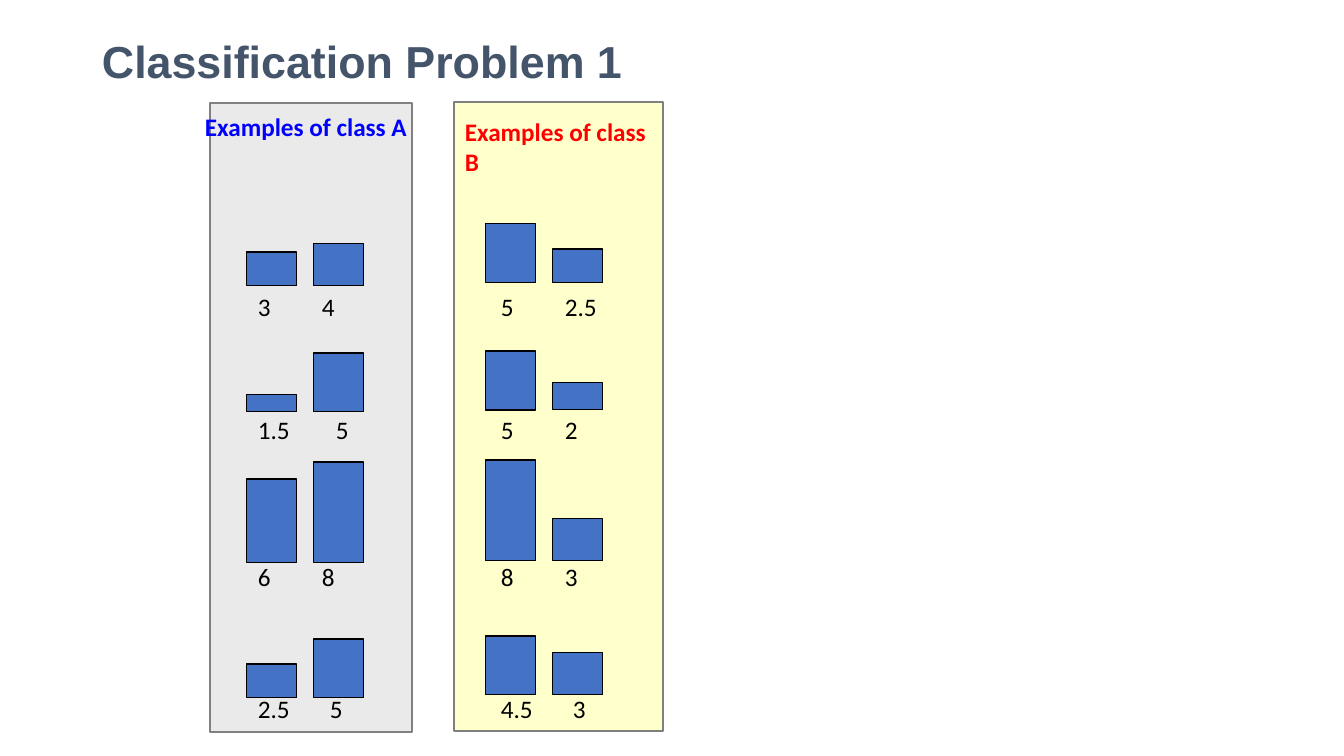
from lxml import etree
from pptx import Presentation
from pptx import util as u
from pptx.dml.color import RGBColor
from pptx.enum import shapes, text
from pptx.oxml import ns

PX = 914400 / 100.8  # EMU in one px
BAR_WIDTH, BAR_STEP = 50, 67
LABEL_TOPS = (286, 409, 556, 688)

# Each example: two values, two bar heights, distance between the two values
CLASS_A = [
    (("3", "4"), (34, 42), 64),
    (("1.5", "5"), (17, 59), 78),
    (("6", "8"), (84, 101), 64),
    (("2.5", "5"), (34, 59), 72),
]
CLASS_B = [
    (("5", "2.5"), (59, 34), 64),
    (("5", "2"), (59, 27), 64),
    (("8", "3"), (101, 42), 64),
    (("4.5", "3"), (59, 42), 72),
]


def px(n):
    return u.Emu(round(n * PX))


def rgb(value):
    return RGBColor.from_string(value)


def add_rect(parent, x, y, w, h, fill, line, weight):
    s = parent.shapes.add_shape(shapes.MSO_SHAPE.RECTANGLE, px(x), px(y), px(w), px(h))
    s.shadow.inherit = False
    s.fill.solid()
    s.fill.fore_color.rgb = rgb(fill)
    s.line.color.rgb = rgb(line)
    s.line.width = u.Pt(weight)
    return s


def add_text(parent, words, x, y, w, h, size=18, font="Calibri",
             color="000000", bold=False, wrap=True, tab=None):
    s = parent.shapes.add_textbox(px(x), px(y), px(w), px(h))
    tf = s.text_frame
    tf.word_wrap = wrap
    tf.auto_size = text.MSO_AUTO_SIZE.SHAPE_TO_FIT_TEXT
    p = tf.paragraphs[0]
    r = p.add_run()
    r.text = words
    r.font.size = u.Pt(size)
    r.font.name = font
    r.font.bold = bold
    r.font.color.rgb = rgb(color)
    if tab:
        stops = etree.SubElement(p._p.get_or_add_pPr(), ns.qn("a:tabLst"))
        etree.SubElement(stops, ns.qn("a:tab"), pos=str(px(tab)), algn="l")
    return s


def add_class(slide, examples, panel, fill, heading, place, color, bar_x, label_x, bases):
    group = slide.shapes.add_group_shape()
    add_rect(group, *panel, fill, "808080", 1.5)
    add_text(group, heading, *place, color=color, bold=True)
    for (values, heights, tab), base, top in zip(examples, bases, LABEL_TOPS):
        for i, height in enumerate(heights):
            add_rect(group, bar_x + i * BAR_STEP, base - height, BAR_WIDTH, height,
                     "4472C4", "000000", 0.75)
        add_text(group, "\t".join(values), label_x, top, 120, 40, tab=tab)


def main():
    prs = Presentation()
    prs.slide_width, prs.slide_height = px(1344), px(756)
    slide = prs.slides.add_slide(prs.slide_layouts[6])

    # Panels with the examples of each class
    add_class(slide, CLASS_A, (210, 103, 202, 629), "EAEAEA",
              "Examples of class A", (195, 106, 228, 40), "0000FF",
              247, 248, (286, 412, 563, 698))
    add_class(slide, CLASS_B, (454, 102, 209, 629), "FFFFCC",
              "Examples of class B", (455, 111, 204, 72), "FF0000",
              486, 491, (283, 410, 561, 695))

    # Title
    add_text(slide, "Classification Problem 1", 92, 29, 545, 65,
             size=32, font="Arial", color="44546A", bold=True, wrap=False)

    prs.save("out.pptx")


if __name__ == "__main__":
    main()
